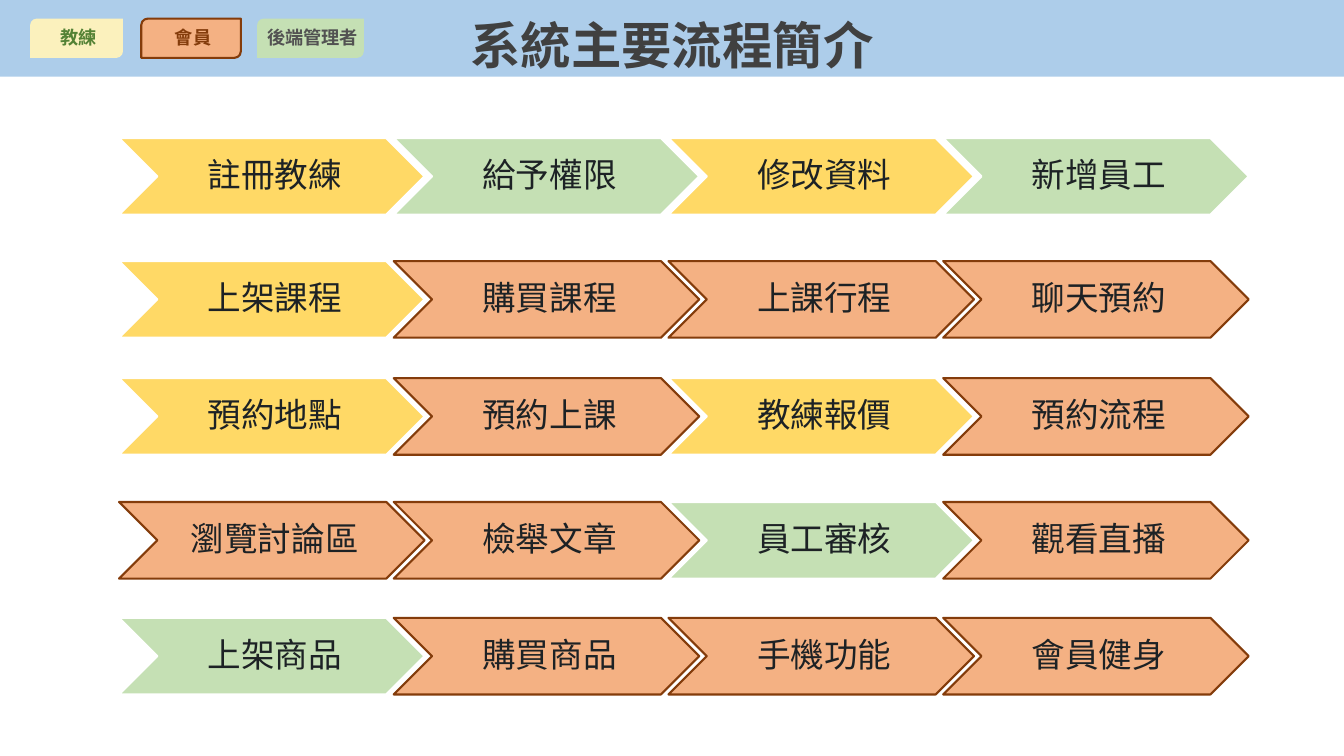
from dataclasses import dataclass

from lxml import etree
from pptx import Presentation
from pptx import util as u
from pptx.dml import color
from pptx.enum import shapes, text
from pptx.oxml import ns


@dataclass(frozen=True)
class Theme:
    """Colours, fonts and type sizes of the slide."""
    band: str = "ADCDEA"
    head: str = "404040"
    ink: str = "1D2225"
    white: str = "FFFFFF"
    cream: str = "FBF1BD"
    gold: str = "FFD966"
    peach: str = "F4B183"
    brown: str = "843C0B"
    mint: str = "C5E0B4"
    leaf: str = "548235"
    grey: str = "525252"
    latin: str = "Roboto"
    asian: str = "Noto Sans CJK SC"
    title: int = 36
    step: int = 24
    key: int = 13


THEME = Theme()
ROLES = {
    "coach": (THEME.gold, THEME.white),
    "member": (THEME.peach, THEME.brown),
    "admin": (THEME.mint, THEME.white),
}
KEYS = [
    ("教練", 0.76, 2.34, THEME.cream, None, THEME.leaf),
    ("會員", 3.56, 2.51, THEME.peach, THEME.brown, THEME.brown),
    ("後端管理者", 6.48, 2.69, THEME.mint, None, THEME.grey),
]
FLOWS = [
    (3.48, [("註冊教練", "coach"), ("給予權限", "admin"),
            ("修改資料", "coach"), ("新增員工", "admin")]),
    (6.58, [("上架課程", "coach"), ("購買課程", "member"),
            ("上課行程", "member"), ("聊天預約", "member")]),
    (9.53, [("預約地點", "coach"), ("預約上課", "member"),
            ("教練報價", "coach"), ("預約流程", "member")]),
    (12.65, [("瀏覽討論區", "member"), ("檢舉文章", "member"),
             ("員工審核", "admin"), ("觀看直播", "member")]),
    (15.57, [("上架商品", "admin"), ("購買商品", "member"),
             ("手機功能", "member"), ("會員健身", "member")]),
]


def apply(item, values):
    """Set each attribute of item from a dict."""
    for name, value in values.items():
        setattr(item, name, value)


def paint(shape, fill, line=None):
    """Give a shape a solid fill and an optional outline."""
    shape.fill.solid()
    shape.fill.fore_color.rgb = color.RGBColor.from_string(fill)
    if line:
        shape.line.color.rgb = color.RGBColor.from_string(line)
        shape.line.width = u.Pt(1.5)
    else:
        shape.line.fill.background()


def write(shape, words, size, ink, pad, space=0.9, bold=False, face=THEME.asian):
    """Put one centred line of text in a shape."""
    frame = shape.text_frame
    sides = ("margin_left", "margin_top", "margin_right", "margin_bottom")
    apply(frame, dict(zip(sides, map(u.Cm, pad))))
    apply(frame, {"word_wrap": True, "auto_size": text.MSO_AUTO_SIZE.NONE,
                  "vertical_anchor": text.MSO_ANCHOR.MIDDLE})
    line = frame.paragraphs[0]
    apply(line, {"alignment": text.PP_ALIGN.CENTER, "line_spacing": space})
    run = line.add_run()
    run.text = words
    apply(run.font, {"size": u.Pt(size), "bold": bold, "name": face})
    run.font.color.rgb = color.RGBColor.from_string(ink)
    asian = etree.SubElement(run.font._element, ns.qn("a:ea"))
    asian.set("typeface", THEME.asian)


def add_block(slide, kind, box, fill, line):
    """Add a flat preset shape in a box given in centimetres."""
    shape = slide.shapes.add_shape(kind, *map(u.Cm, box))
    shape.shadow.inherit = False
    paint(shape, fill, line)
    return shape


def add_band(slide, box):
    """Turn the title placeholder into the top band."""
    title = slide.shapes.title
    apply(title, dict(zip(("left", "top", "width", "height"), map(u.Cm, box))))
    paint(title, THEME.band)
    write(title, "系統主要流程簡介", THEME.title, THEME.head,
          (0.25, 0.13, 0.25, 0.13), 1.2, True, THEME.latin)


def add_keys(slide, box):
    """Place the role legend inside the band box."""
    left, top, _, high = box
    tall = 0.99
    for words, shift, wide, fill, line, ink in KEYS:
        spot = (left + shift, top + (high - tall) / 2, wide, tall)
        kind = shapes.MSO_SHAPE.ROUND_2_DIAG_RECTANGLE
        shape = add_block(slide, kind, spot, fill, line)
        write(shape, words, THEME.key, ink, (0.15, 0.05, 0.05, 0.05), bold=True)


def add_flow(slide, box, steps):
    """Chain overlapping chevrons evenly across a row box."""
    left, top, wide, high = box
    size = 7.7
    pitch = (wide - size) / (len(steps) - 1)
    for place, (words, role) in enumerate(steps):
        spot = (left + place * pitch, top, size, high)
        shape = add_block(slide, shapes.MSO_SHAPE.CHEVRON, spot, *ROLES[role])
        write(shape, words, THEME.step, THEME.ink, (0.25, 0.1, 0.1, 0.1))


def main():
    """Build and save the slide."""
    deck = Presentation()
    apply(deck, {"slide_width": u.Cm(33.87), "slide_height": u.Cm(19.05)})
    slide = deck.slides.add_slide(deck.slide_layouts.get_by_name("Title Only"))
    band = (0, 0, 33.87, 1.93)
    add_band(slide, band)
    add_keys(slide, band)
    for top, steps in FLOWS:
        add_flow(slide, (3, top, 28.47, 1.93), steps)
    deck.save("out.pptx")


if __name__ == "__main__":
    main()
